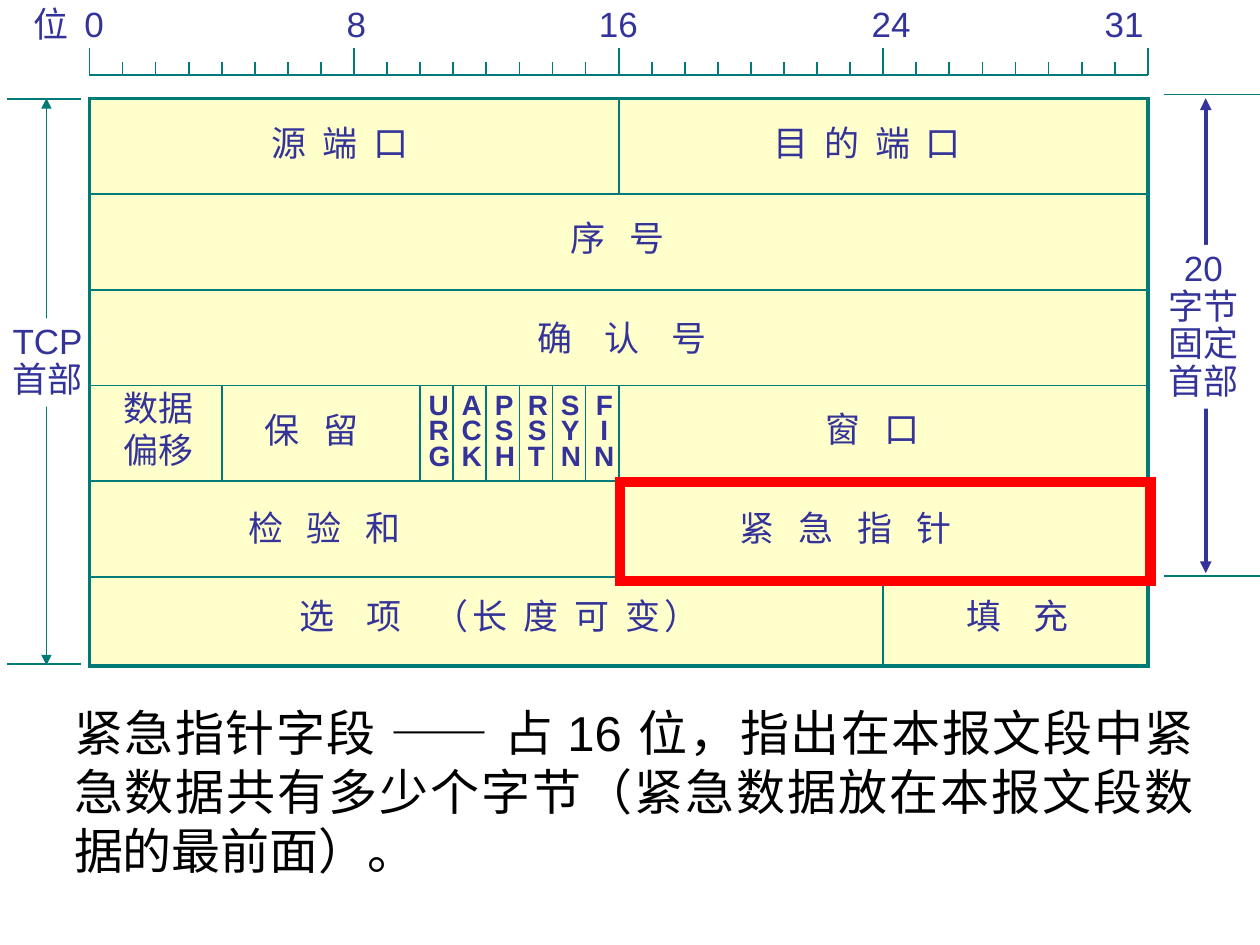
from lxml import etree
from pptx import Presentation
from pptx import util as u
from pptx.dml.color import RGBColor
from pptx.enum import shapes, text
from pptx.oxml.ns import qn

TEAL = RGBColor(0x00, 0x7A, 0x77)
INDIGO = RGBColor(0x33, 0x33, 0x99)
CREAM = RGBColor(0xFF, 0xFF, 0xCC)
WHITE = RGBColor(0xFF, 0xFF, 0xFF)
BLACK = RGBColor(0x00, 0x00, 0x00)
RED = RGBColor(0xFF, 0x00, 0x00)

BITS = 32
BOTTOM = 5.93   # rows down to the lower edge of the header
SPACE = 2.3     # points of letter spacing that widen a gap by one space


class HeaderDiagram:
    """Style and slide; columns are header bits, rows are 32-bit words."""

    left, top, bit, row = 0.71, 0.78, 0.2625, 0.76
    label_style = {"name": "Arial", "size": u.Pt(20), "bold": False}

    def __init__(self, slide):
        self.slide = slide

    def x(self, column):
        return u.Inches(self.left + column * self.bit)

    def y(self, row):
        return u.Inches(self.top + row * self.row)

    def area(self, column, row, columns, rows):
        return (self.x(column), self.y(row),
                u.Inches(columns * self.bit), u.Inches(rows * self.row))

    def line(self, start, end, color=TEAL, width=1, arrows=False):
        connector = self.slide.shapes.add_connector(
            shapes.MSO_CONNECTOR.STRAIGHT, self.x(start[0]), self.y(start[1]),
            self.x(end[0]), self.y(end[1]))
        connector.line.color.rgb = color
        connector.line.width = u.Pt(width)
        properties = connector._element.spPr
        if arrows:
            outline = connector.line._get_or_add_ln()
            for tag in ("a:headEnd", "a:tailEnd"):
                etree.SubElement(outline, qn(tag), type="triangle")
        etree.SubElement(properties, qn("a:effectLst"))
        return connector

    def box(self, area, color, width, fill=None):
        shape = self.slide.shapes.add_shape(
            shapes.MSO_SHAPE.RECTANGLE, *self.area(*area))
        shape.shadow.inherit = False
        if fill is None:
            shape.fill.background()
        else:
            shape.fill.solid()
            shape.fill.fore_color.rgb = fill
        shape.line.color.rgb = color
        shape.line.width = u.Pt(width)
        # Square corners
        etree.SubElement(shape.line._get_or_add_ln(), qn("a:miter"), lim="800000")
        return shape

    def text(self, area, paragraphs, color=INDIGO, align="LEFT", spacing=1.0,
             wrap=True, fill=None, **style):
        """Each paragraph is a list of (words, letter gap, font changes)."""
        shape = self.slide.shapes.add_textbox(*self.area(*area))
        if fill is not None:
            shape.fill.solid()
            shape.fill.fore_color.rgb = fill
        frame = shape.text_frame
        frame.word_wrap = wrap
        for index, runs in enumerate(paragraphs):
            paragraph = frame.add_paragraph() if index else frame.paragraphs[0]
            paragraph.alignment = getattr(text.PP_ALIGN, align)
            paragraph.line_spacing = spacing
            for words, gap, changes in runs:
                run = paragraph.add_run()
                run.text = words
                for name, value in {**self.label_style, **style, **changes}.items():
                    setattr(run.font, name, value)
                run.font.color.rgb = color
                if gap:
                    run.font._element.set("spc", str(round(gap * 100)))
        return shape


def plain(*lines):
    return [[(line, 0, {})] for line in lines]


def add_ruler(diagram):
    base = -0.24
    diagram.line((0, base), (BITS, base))
    for bit in range(BITS + 1):
        height = 0.29 if bit % 8 == 0 else 0.14
        diagram.line((bit, base - height), (bit, base))
    for words, column in (("位", -2.06), ("0", -0.53), ("8", 7.4),
                          ("16", 15.03), ("24", 23.27), ("31", 30.32)):
        diagram.text((column, -1.07, 2.5, 0.57), plain(words))


def add_grid(diagram):
    frame = diagram.box((0, 0, BITS, BOTTOM), TEAL, 2, CREAM)
    for row in range(1, 6):
        diagram.line((0, row), (BITS, row))
    port_divider = diagram.line((16, 0), (16, 1))
    port_divider.begin_connect(frame, 0)
    dividers = [(16, 3, 5), (4, 3, 4), (24, 5, BOTTOM)]
    dividers += [(bit, 3, 4) for bit in range(10, 16)]
    for bit, first, last in dividers:
        diagram.line((bit, first), (bit, last))


def add_fields(diagram):
    # Words, column, row, columns, spaces between characters
    fields = (
        ("源 端 口", 5.14, 0.18, 7, 2),
        ("目 的 端 口", 20.3, 0.18, 9, 2),
        ("序 号", 14.17, 1.17, 5.75, 3),
        ("确 认 号", 13.18, 2.21, 7.66, 4),
        ("保 留", 4.91, 3.18, 4.46, 3),
        ("窗 口", 21.87, 3.16, 4.46, 3),
        ("检 验 和", 4.42, 4.2, 7.12, 3),
        ("紧 急 指 针", 19.28, 4.2, 9.75, 3),
        ("填 充", 26.13, 5.12, 5.22, 4),
    )
    for words, column, row, columns, spaces in fields:
        diagram.text((column, row, columns, 0.57),
                     [[(words, SPACE * (spaces - 1), {})]])
    diagram.text((5.98, 5.12, 17, 0.57),
                 [[("选 项 ", SPACE * 3, {}), ("（长 度 可 变）", SPACE, {})]])
    diagram.text((0.65, 2.95, 2.9, 1), plain("数据", "偏移"), wrap=False)
    # One flag per bit, written downwards
    for index, flag in enumerate(("URG", "ACK", "PSH", "RST", "SYN", "FIN")):
        diagram.text((9.88 + index, 3.04, 1.37, 0.92), plain(*flag),
                     align="CENTER" if flag == "FIN" else "LEFT",
                     spacing=0.75, wrap=False, size=u.Pt(16), bold=True)


def add_measures(diagram):
    # Whole header on the left
    for row in (0.01, 5.91):
        diagram.line((-2.48, row), (-0.27, row))
    diagram.line((-1.3, 0), (-1.3, 5.92), arrows=True)
    diagram.text((-2.7, 2.3, 2.9, 0.92), plain("TCP", "首部"),
                 spacing=0.9, wrap=False, fill=WHITE)
    # Fixed part on the right
    for row in (-0.04, 4.99):
        diagram.line((32.5, row), (35.39, row))
    diagram.line((33.75, 0), (33.75, 4.96), INDIGO, 2.25, arrows=True)
    diagram.text((32.23, 1.53, 2.9, 1.71), plain("20", "字节", "固定", "首部"),
                 align="CENTER", spacing=0.9, wrap=False, fill=WHITE)


def main():
    presentation = Presentation()
    presentation.slide_width, presentation.slide_height = u.Inches(10), u.Inches(7.5)
    slide = presentation.slides.add_slide(presentation.slide_layouts[6])
    diagram = HeaderDiagram(slide)

    add_measures(diagram)
    add_grid(diagram)
    add_ruler(diagram)
    add_fields(diagram)

    # Highlighted field and its explanation
    diagram.box((16.04, 4.01, 16.04, 1.03), RED, 6)
    diagram.text((-0.84, 6.25, 34.6, 1.97), [[
        ("紧急指针字段 —— 占 16 位，", 0, {}),
        ("指出在本报文段中紧急数据共有多少个字节（紧急数据放在本报文段数据的最前面）。",
         0, {"name": "Karla"}),
    ]], BLACK, "JUSTIFY", size=u.Pt(28))

    presentation.save("out.pptx")


if __name__ == "__main__":
    main()
